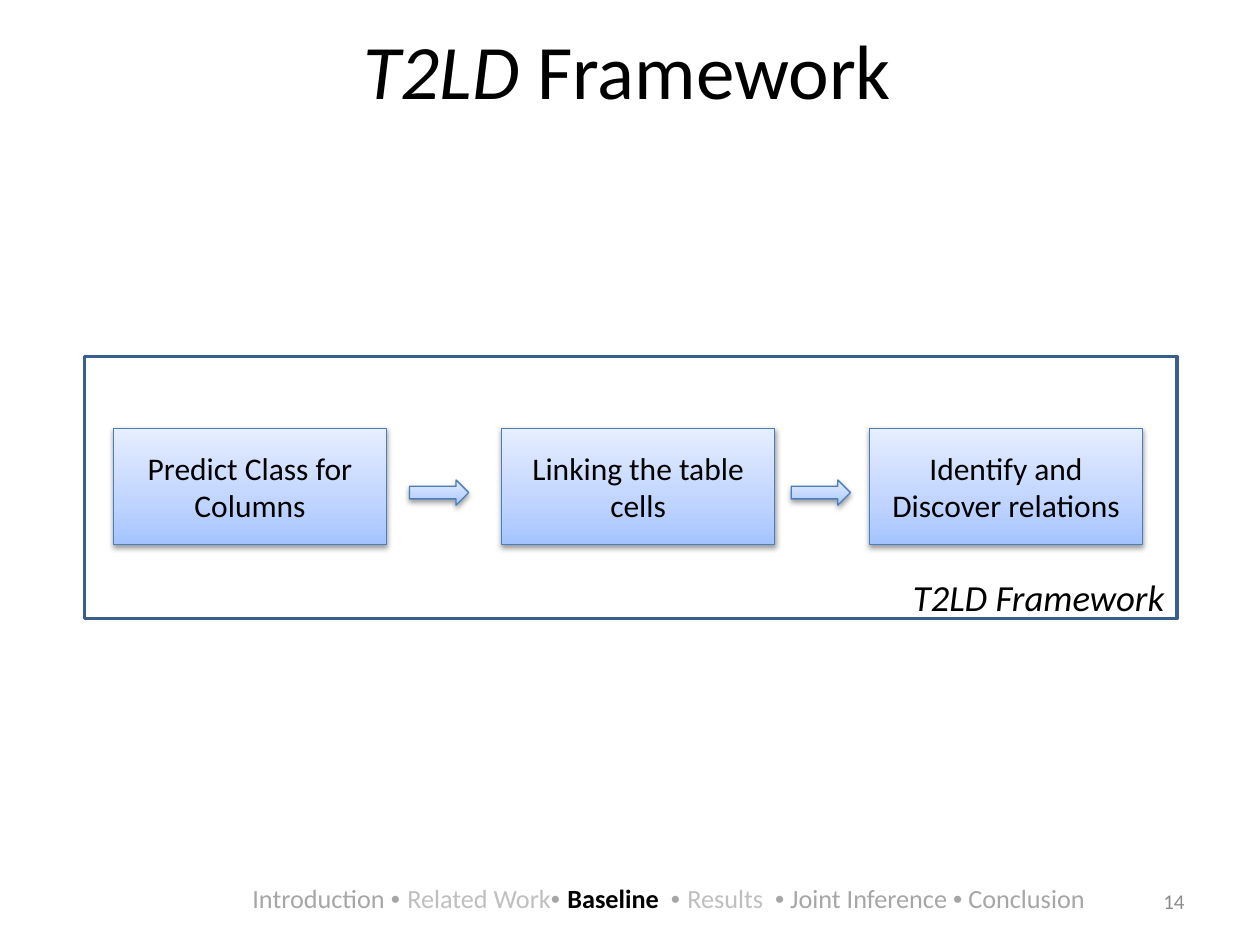
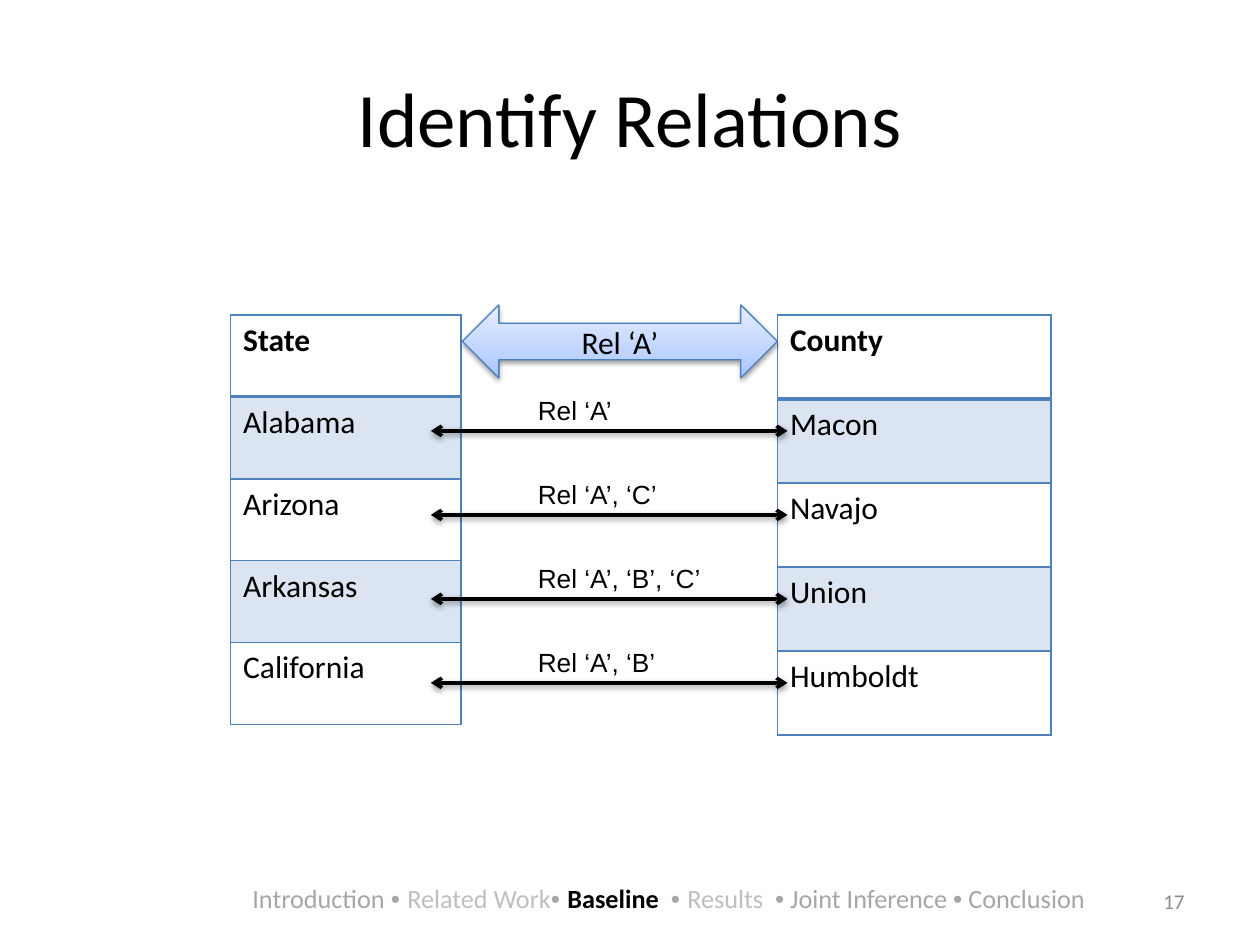
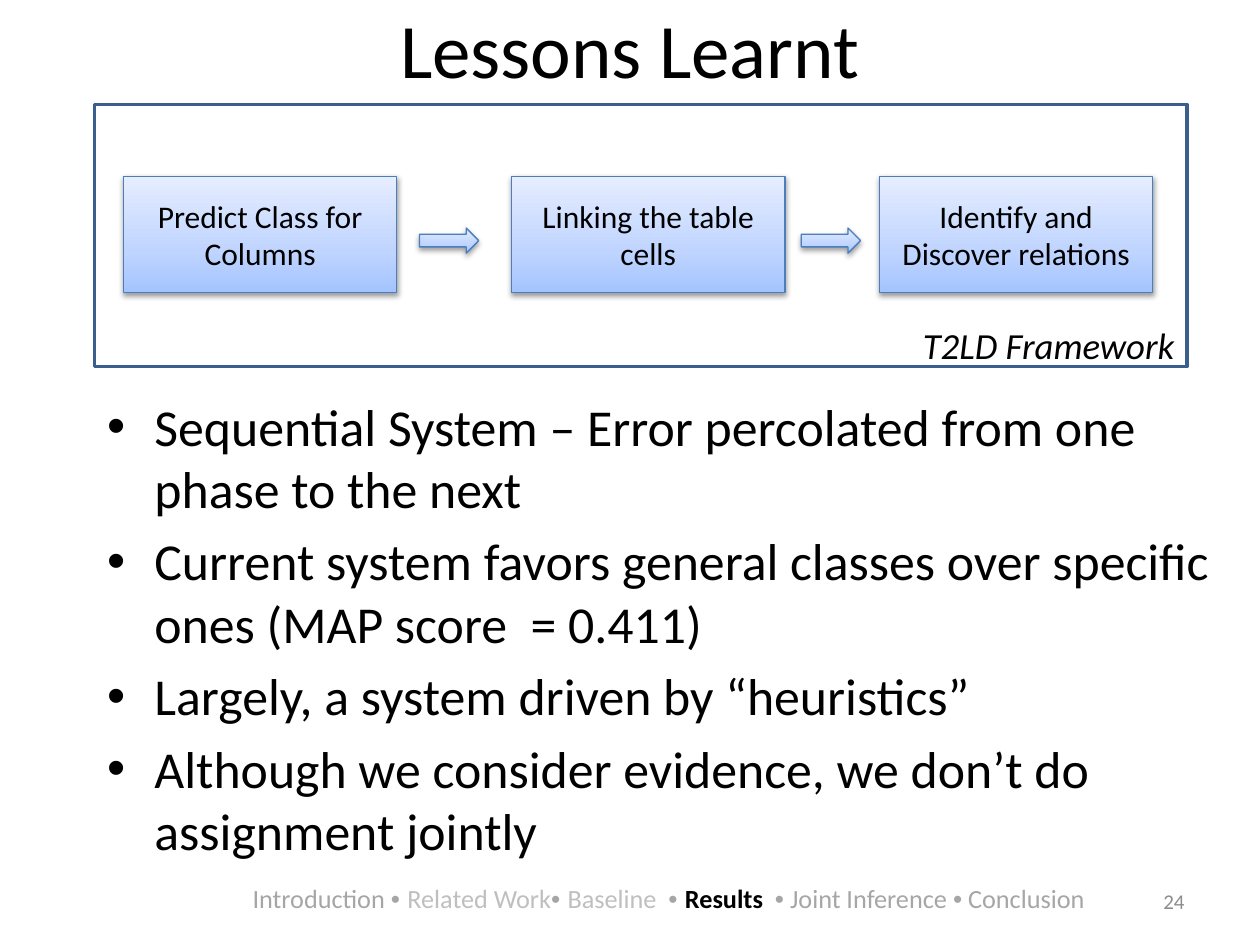
from copy import deepcopy

from lxml import etree
from pptx import Presentation
from pptx.dml.color import RGBColor
from pptx.enum.shapes import MSO_CONNECTOR, MSO_SHAPE
from pptx.enum.text import MSO_ANCHOR, MSO_AUTO_SIZE, PP_ALIGN
from pptx.oxml.ns import qn
from pptx.util import Inches, Pt

LEFT, CENTER, RIGHT = PP_ALIGN.LEFT, PP_ALIGN.CENTER, PP_ALIGN.RIGHT
TOP, MIDDLE, BOTTOM = MSO_ANCHOR.TOP, MSO_ANCHOR.MIDDLE, MSO_ANCHOR.BOTTOM
PROCESS, RECTANGLE = MSO_SHAPE.FLOWCHART_PROCESS, MSO_SHAPE.RECTANGLE
RIGHT_ARROW, DOUBLE_ARROW = MSO_SHAPE.RIGHT_ARROW, MSO_SHAPE.LEFT_RIGHT_ARROW
STRAIGHT = MSO_CONNECTOR.STRAIGHT
NO_FIT = MSO_AUTO_SIZE.NONE
TITLE_ONLY, TITLE_AND_BODY = 5, 1

# Shared look
BLACK, GREY, PALE, NUMBER_GREY = "000000", "A6A6A6", "BFBFBF", "8C8C8C"
BLUE, EDGE, FRAME_EDGE = "4F81BD", "4B7EBC", "3A5F8C"
GRADIENT = [(0, "A4C4FF"), (0.35, "BFD4FF"), (1, "E6EEFF")]
BASE = {"name": "Calibri", "size": 18, "color": BLACK, "bold": False, "italic": False}

# Content
SECTIONS = [("Introduction ", GREY, "• "), ("Related Work", PALE, "• "),
            ("Baseline  ", PALE, "• "), ("Results  ", PALE, "•"),
            (" Joint Inference ", GREY, "•"), (" Conclusion ", GREY, "")]
FRAMEWORK = "T2LD Framework"
STEPS = [("Predict Class for Columns", 0.23), ("Linking the table cells", 3.31),
         ("Identify and Discover relations", 6.23)]
STEP_ARROWS = [2.58, 5.61]
STATES = ["State", "Alabama", "Arizona", "Arkansas", "California"]
COUNTIES = ["County", "Macon", "Navajo", "Union", "Humboldt"]
COLUMN_RELATION = "Rel ‘A’"
ROW_RELATIONS = ["Rel ‘A’", "Rel ‘A’, ‘C’", "Rel ‘A’, ‘B’, ‘C’", "Rel ‘A’, ‘B’"]
LESSONS = ["Sequential System – Error percolated from one phase to the next",
           "Current system favors general classes over specific ones (MAP score  = 0.411)",
           "Largely, a system driven by “heuristics”",
           "Although we consider evidence, we don’t do assignment jointly"]


def rgb(color):
    return RGBColor.from_string(color)


def write(paragraph, runs, align=LEFT, **common):
    """Fill a paragraph with (text, format) runs."""
    paragraph.alignment = align
    for text, own in runs:
        run = paragraph.add_run()
        run.text = text
        values = {**BASE, **common, **own}
        run.font.color.rgb = rgb(values.pop("color"))
        values["size"] = Pt(values["size"])
        for key, value in values.items():
            setattr(run.font, key, value)


def place(shape, left, top, width, height):
    for key, value in zip(("left", "top", "width", "height"), (left, top, width, height)):
        setattr(shape, key, Inches(value))


def add_label(slide, box, runs, align=LEFT, anchor=TOP, inset=0.05, **common):
    frame = slide.shapes.add_textbox(*map(Inches, box)).text_frame
    settings = {"word_wrap": True, "vertical_anchor": anchor,
                "margin_top": Inches(inset), "margin_bottom": Inches(inset)}
    for key, value in settings.items():
        setattr(frame, key, value)
    write(frame.paragraphs[0], runs, align, **common)


def add_shadow(shape):
    properties = shape._element.spPr
    effects = properties.find(qn("a:effectLst"))
    if effects is None:
        effects = etree.SubElement(properties, qn("a:effectLst"))
    shadow = etree.SubElement(effects, qn("a:outerShdw"), blurRad="40000", dist="20000",
                              dir="5400000", rotWithShape="0")
    color = etree.SubElement(shadow, qn("a:srgbClr"), val=BLACK)
    etree.SubElement(color, qn("a:alpha"), val="38000")


def add_outlined(slide, kind, box, edge, width):
    shape = slide.shapes.add_shape(kind, *map(Inches, box))
    shape.shadow.inherit = False
    shape.line.color.rgb = rgb(edge)
    shape.line.width = Pt(width)
    return shape


def add_glossy(slide, kind, box, text=""):
    """Shape with the blue gradient and soft shadow."""
    shape = add_outlined(slide, kind, box, EDGE, 0.75)
    shape.fill.gradient()
    shape.fill.gradient_angle = 90
    stops = shape._element.spPr.find(qn("a:gradFill")).find(qn("a:gsLst"))
    stops.append(deepcopy(stops[0]))
    for stop, (position, color) in zip(shape.fill.gradient_stops, GRADIENT):
        stop.position = position
        stop.color.rgb = rgb(color)
    add_shadow(shape)
    if text:
        shape.text_frame.vertical_anchor = MIDDLE
        write(shape.text_frame.paragraphs[0], [(text, {})], CENTER)


def add_framework(slide, left, top):
    """Framed row of steps joined by block arrows."""
    frame = add_outlined(slide, RECTANGLE, (left, top, 8.67, 2.08), FRAME_EDGE, 2)
    frame.fill.background()
    frame.text_frame.vertical_anchor = BOTTOM
    frame.text_frame.margin_bottom = 0
    write(frame.text_frame.paragraphs[0], [(FRAMEWORK, {})], RIGHT, size=21, italic=True)
    for text, offset in STEPS:
        add_glossy(slide, PROCESS, (left + offset, top + 0.57, 2.17, 0.92), text)
    for offset in STEP_ARROWS:
        add_glossy(slide, RIGHT_ARROW, (left + offset, top + 0.98, 0.47, 0.2))


def add_column(slide, names, left, width, row_height):
    """One-column table with a heading and tinted odd rows."""
    table = slide.shapes.add_table(len(names), 1, Inches(left), Inches(2.5), Inches(width),
                                   Inches(row_height * len(names))).table
    table.first_row = table.horz_banding = False
    for row, name in enumerate(names):
        cell = table.cell(row, 0)
        write(cell.text_frame.paragraphs[0], [(name, {"bold": row == 0})])
        properties = cell._tc.get_or_add_tcPr()
        for side in "LRTB":
            heavy = (row, side) in ((0, "B"), (1, "T"))
            border = etree.SubElement(properties, qn("a:ln" + side),
                                      w=str(Pt(2 if heavy else 1)))
            fill = etree.SubElement(border, qn("a:solidFill"))
            etree.SubElement(fill, qn("a:srgbClr"), val=BLUE)
        if row % 2:
            cell.fill.solid()
            cell.fill.fore_color.rgb = rgb(BLUE)
            tint = properties.find(qn("a:solidFill")).find(qn("a:srgbClr"))
            etree.SubElement(tint, qn("a:alpha"), val="20000")
        else:
            cell.fill.background()


def add_relation(slide, text, y):
    """Two-headed line between two rows, with its label above."""
    line = slide.shapes.add_connector(STRAIGHT, *map(Inches, (3.42, y, 6.25, y)))
    line.line.color.rgb = rgb(BLACK)
    line.line.width = Pt(2)
    for end in ("a:headEnd", "a:tailEnd"):
        etree.SubElement(line.line._get_or_add_ln(), qn(end), type="arrow")
    add_shadow(line)
    add_label(slide, (4.17, y - 0.34, 1.5, 0.35), [(text, {})], name="Arial", size=15)


def add_slide(deck, layout, title_runs, title_left, title_top, number, active):
    """Slide with title, page number and section footer."""
    slide = deck.slides.add_slide(deck.slide_layouts[layout])
    title = slide.shapes.title
    place(title, title_left, title_top, 9, 1.25)
    title.text_frame.vertical_anchor = MIDDLE
    write(title.text_frame.paragraphs[0], title_runs, CENTER, size=44)
    add_label(slide, (7.17, 6.95, 2.33, 0.4), [(str(number), {})], RIGHT, MIDDLE,
              size=12, color=NUMBER_GREY)
    trail = []
    for section, color, dot in SECTIONS:
        here = section.strip() == active
        trail.append((section, {"color": BLACK if here else color, "bold": here}))
        if dot:
            trail.append((dot, {"name": "Arial", "color": GREY}))
    add_label(slide, (0.83, 7, 9, 0.25), trail, CENTER, MIDDLE, inset=0, size=15)
    return slide


def main():
    deck = Presentation()
    deck.slide_width, deck.slide_height = Inches(10), Inches(7.5)

    # Framework overview
    overview = add_slide(deck, TITLE_ONLY, [("T2LD", {"italic": True}), (" Framework", {})],
                         0.48, -0.08, 14, "Baseline")
    add_framework(overview, 0.67, 2.83)

    # Relations between two columns
    relations = add_slide(deck, TITLE_ONLY, [("Identify Relations", {})],
                          0.5, 0.3, 17, "Baseline")
    add_column(relations, STATES, 1.83, 1.83, 0.65)
    add_column(relations, COUNTIES, 6.17, 2.17, 2 / 3)
    for row, text in enumerate(ROW_RELATIONS):
        add_relation(relations, text, 3.42 + row * 2 / 3)
    add_glossy(relations, DOUBLE_ARROW, (3.67, 2.42, 2.5, 0.58), COLUMN_RELATION)

    # Lessons
    lessons = add_slide(deck, TITLE_AND_BODY, [("Lessons Learnt", {})],
                        0.5, -0.25, 24, "Results")
    body = lessons.placeholders[1]
    place(body, 0.75, 3.08, 9, 3.83)
    body.text_frame.auto_size = NO_FIT
    for index, lesson in enumerate(LESSONS):
        paragraph = body.text_frame.add_paragraph() if index else body.text_frame.paragraphs[0]
        paragraph.space_before = Pt(6 if index else 0)
        write(paragraph, [(lesson, {})], size=29.6)
    add_framework(lessons, 0.75, 0.83)

    deck.save("out.pptx")


if __name__ == "__main__":
    main()
